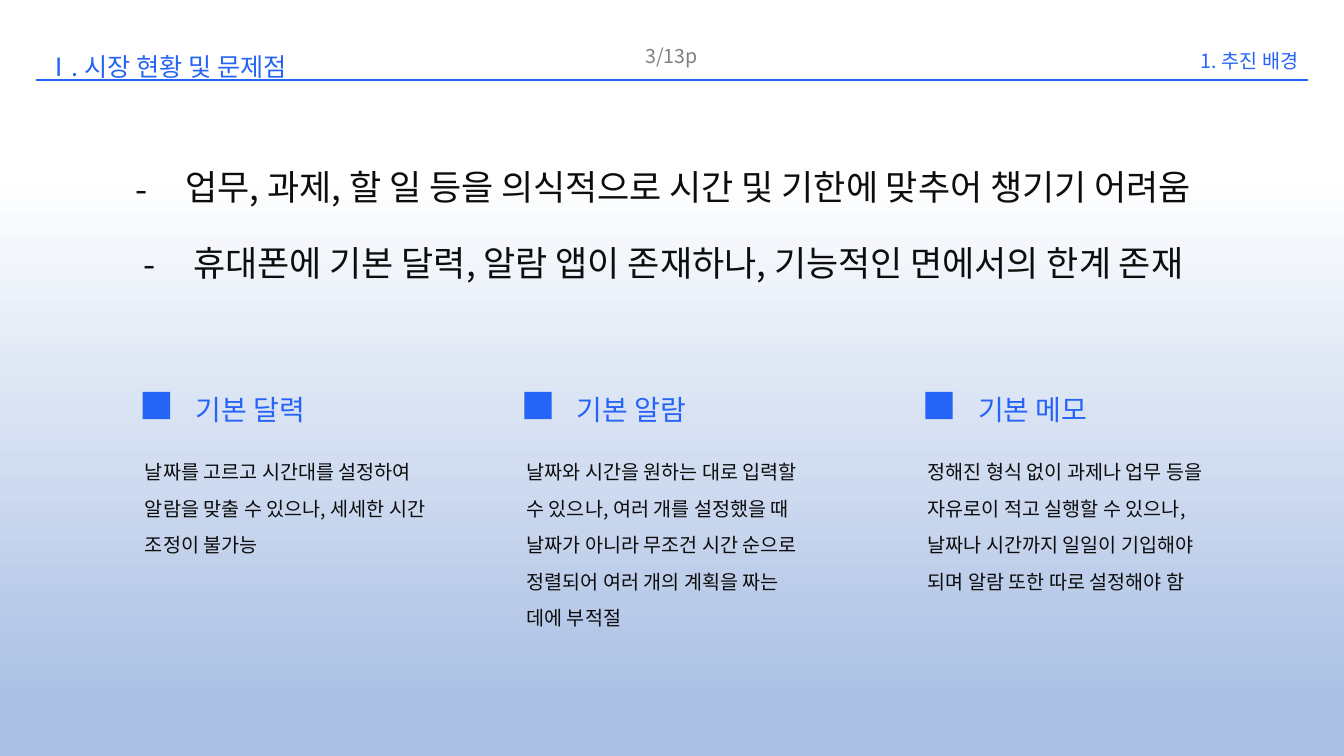
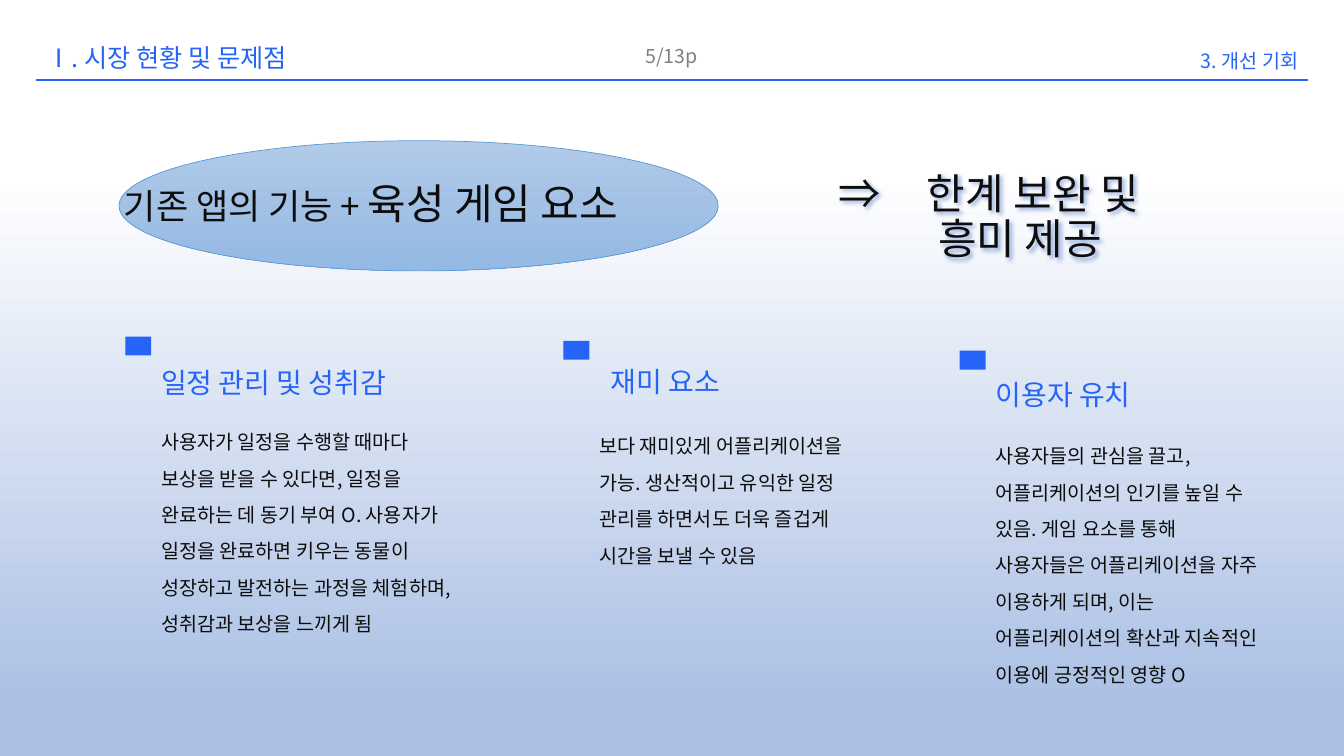
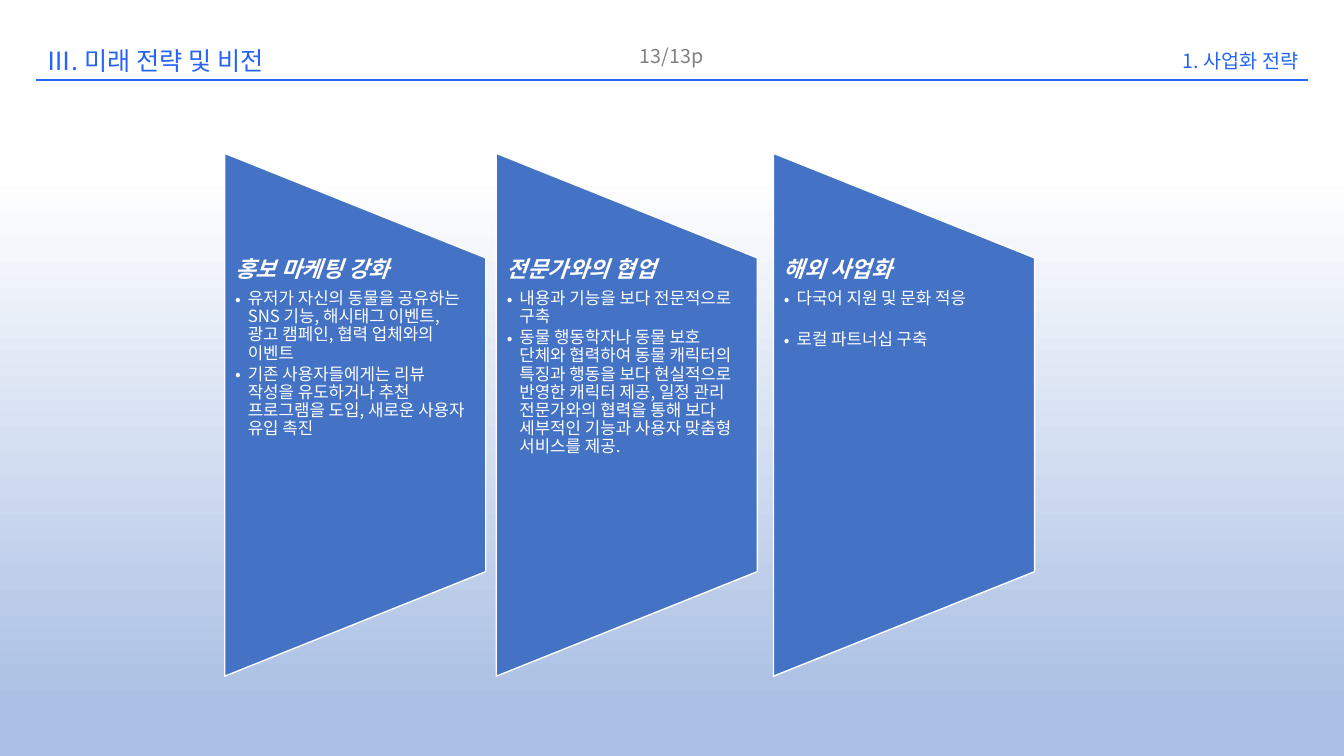
"""Build three slides on the market, the chance and the future plan of an app."""
from dataclasses import dataclass

from lxml.etree import SubElement
from pptx import Presentation
from pptx.dml.color import RGBColor
from pptx.enum.shapes import MSO_CONNECTOR, MSO_SHAPE
from pptx.enum.text import MSO_ANCHOR, MSO_AUTO_SIZE, PP_ALIGN
from pptx.oxml.ns import qn
from pptx.util import Pt

FONT = "Noto Sans CJK KR"
HUES = {
    "blue": "2564F7", "ink": "0D0D0D", "gray": "808080", "white": "FFFFFF",
    "panel": "4472C4", "edge": "5B9BD5", "base": "ABC0E4",
    "oval1": "B1CBE9", "oval2": "A3C1E5", "oval3": "93B9E4",
}


@dataclass(frozen=True)
class Style:
    size: float
    hue: str
    lead: object = 1.0
    side: PP_ALIGN = PP_ALIGN.LEFT
    bold: bool = False


@dataclass(frozen=True)
class Header:
    title: str
    top: float
    topic: str
    page: str


@dataclass(frozen=True)
class Box:
    left: float
    top: float
    width: float
    height: float


@dataclass(frozen=True)
class Card:
    left: float
    top: float
    head_dx: float
    head_dy: float
    width: float
    head: str
    body: str


@dataclass(frozen=True)
class Grid:
    mark_w: float
    mark_h: float
    body_dx: float
    body_dy: float


@dataclass(frozen=True)
class Panel:
    left: float
    head: str
    items: tuple[str, ...]
    gap: float = 2


TITLE = Style(18, "blue")
TOPIC = Style(14, "blue", Pt(26), PP_ALIGN.RIGHT)
PAGE = Style(14, "gray", Pt(26), PP_ALIGN.CENTER)
HEAD = Style(20, "blue", Pt(26))
BODY = Style(14, "ink", Pt(26))
POINT = Style(25, "ink", 0.9, PP_ALIGN.CENTER)
IDEA = Style(25, "ink", 0.9)
GAIN = Style(30, "ink", 0.9)
NAME = Style(16, "white", 0.9, bold=True)
ITEM = Style(12, "white", 0.9)

POINTS = (
    "업무, 과제, 할 일 등을 의식적으로 시간 및 기한에 맞추어 챙기기 어려움",
    "휴대폰에 기본 달력, 알람 앱이 존재하나, 기능적인 면에서의 한계 존재",
)
LIMITS = (
    Card(102, 280, 30.5, -5, 221, "기본 달력",
         "날짜를 고르고 시간대를 설정하여 알람을 맞출 수 있으나, 세세한 시간 조정이 불가능"),
    Card(374.5, 280, 30.5, -5, 221, "기본 알람",
         "날짜와 시간을 원하는 대로 입력할 수 있으나, 여러 개를 설정했을 때 날짜가 아니라 "
         "무조건 시간 순으로 정렬되어 여러 개의 계획을 짜는 데에 부적절"),
    Card(661, 280, 30.5, -5, 221, "기본 메모",
         "정해진 형식 없이 과제나 업무 등을 자유로이 적고 실행할 수 있으나, "
         "날짜나 시간까지 일일이 기입해야 되며 알람 또한 따로 설정해야 함"),
)
GAINS = (
    Card(89.5, 240.5, 18.5, 15, 229, "일정 관리 및 성취감",
         "사용자가 일정을 수행할 때마다 보상을 받을 수 있다면, 일정을 완료하는 데 동기 부여 O. "
         "사용자가 일정을 완료하면 키우는 동물이 성장하고 발전하는 과정을 체험하며, "
         "성취감과 보상을 느끼게 됨"),
    Card(402.5, 243.5, 26.5, 11, 201.5, "재미 요소",
         "보다 재미있게 어플리케이션을 가능. 생산적이고 유익한 일정 관리를 하면서도 "
         "더욱 즐겁게 시간을 보낼 수 있음"),
    Card(685.5, 250.5, 18.5, 13.5, 210, "이용자 유치",
         "사용자들의 관심을 끌고, 어플리케이션의 인기를 높일 수 있음. 게임 요소를 통해 "
         "사용자들은 어플리케이션을 자주 이용하게 되며, 이는 어플리케이션의 확산과 "
         "지속적인 이용에 긍정적인 영향 O"),
)
PANELS = (
    Panel(160, "홍보 마케팅 강화", (
        "유저가 자신의 동물을 공유하는 SNS 기능, 해시태그 이벤트, 광고 캠페인, 협력 업체와의 이벤트",
        "기존 사용자들에게는 리뷰 작성을 유도하거나 추천 프로그램을 도입, 새로운 사용자 유입 촉진")),
    Panel(354, "전문가와의 협업", (
        "내용과 기능을 보다 전문적으로 구축",
        "동물 행동학자나 동물 보호 단체와 협력하여 동물 캐릭터의 특징과 행동을 보다 현실적으로 "
        "반영한 캐릭터 제공, 일정 관리 전문가와의 협력을 통해 보다 세부적인 기능과 "
        "사용자 맞춤형 서비스를 제공.")),
    Panel(552, "해외 사업화", ("다국어 지원 및 문화 적응", "로컬 파트너십 구축"), 16.5),
)


def tint(key: str) -> RGBColor:
    return RGBColor.from_string(HUES[key])


def blend(fill, root, stops) -> None:
    fill.gradient()
    fill.gradient_angle = 270
    ramp = root.find(".//" + qn("a:gsLst"))
    for stop in list(ramp):
        ramp.remove(stop)
    for place, key in stops:
        stop = SubElement(ramp, qn("a:gs"), pos=str(place * 1000))
        SubElement(stop, qn("a:srgbClr"), val=HUES[key])


def dress(run, style: Style) -> None:
    font = run.font
    font.size, font.name = Pt(style.size), FONT
    font.bold = font.italic = style.bold
    font.color.rgb = tint(style.hue)
    SubElement(font._element, qn("a:ea"), typeface=FONT)


def write(par, text: str, style: Style, before: float = 0) -> None:
    par.text = text
    par.alignment, par.line_spacing = style.side, style.lead
    par.space_before, par.space_after = Pt(before), Pt(0)
    for run in par.runs:
        dress(run, style)


def shift(par, left: float, first: float) -> None:
    props = par._p.get_or_add_pPr()
    props.set("marL", str(int(Pt(left))))
    props.set("indent", str(int(Pt(first))))


def bullet(par, mark: str, gap: float) -> None:
    shift(par, gap, -gap)
    props = par._p.get_or_add_pPr()
    SubElement(props, qn("a:buFont"), typeface=FONT)
    SubElement(props, qn("a:buChar"), char=mark)


def place(shape, box: Box, anchor=MSO_ANCHOR.TOP):
    shape.left, shape.top = Pt(box.left), Pt(box.top)
    shape.width, shape.height = Pt(box.width), Pt(box.height)
    frame = shape.text_frame
    frame.word_wrap, frame.auto_size = True, MSO_AUTO_SIZE.NONE
    frame.vertical_anchor = anchor
    return frame


def add_box(slide, box: Box):
    return place(slide.shapes.add_textbox(0, 0, 0, 0), box)


def label(slide, box: Box, text: str, style: Style) -> None:
    write(add_box(slide, box).paragraphs[0], text, style)


def form(slide, kind, box: Box, hue: str):
    shape = slide.shapes.add_shape(
        kind, Pt(box.left), Pt(box.top), Pt(box.width), Pt(box.height))
    shape.shadow.inherit = False
    shape.fill.solid()
    shape.fill.fore_color.rgb = tint(hue)
    shape.line.fill.background()
    return shape


def edge(shape, hue: str, width: float) -> None:
    shape.line.color.rgb = tint(hue)
    shape.line.width = Pt(width)


def start(deck, layout: int, head: Header):
    slide = deck.slides.add_slide(deck.slide_layouts[layout])
    frame = place(slide.shapes.title, Box(26, head.top, 255.5, 26), MSO_ANCHOR.MIDDLE)
    write(frame.paragraphs[0], head.title, TITLE)
    rule = slide.shapes.add_connector(
        MSO_CONNECTOR.STRAIGHT, Pt(26), Pt(57), Pt(934), Pt(57))
    edge(rule, "blue", 1.5)
    SubElement(rule._element.spPr, qn("a:effectLst"))
    label(slide, Box(771, 22.5, 163.5, 37.5), head.topic, TOPIC)
    label(slide, Box(398, 18.5, 163.5, 37.5), head.page, PAGE)
    return slide


def add_cards(slide, cards: tuple[Card, ...], grid: Grid) -> None:
    for card in cards:
        form(slide, MSO_SHAPE.RECTANGLE,
             Box(card.left, card.top, grid.mark_w, grid.mark_h), "blue")
        label(slide, Box(card.left + card.head_dx, card.top + card.head_dy, 190, 36),
              card.head, HEAD)
        label(slide, Box(card.left + grid.body_dx, card.top + grid.body_dy,
                         card.width, 182), card.body, BODY)


def market(deck) -> None:
    slide = start(deck, 1, Header("Ⅰ. 시장 현황 및 문제점", 34.5, "1. 추진 배경", "3/13p"))
    frame = place(slide.placeholders[1], Box(31, 118, 885.5, 139.5))
    for rank, text in enumerate(POINTS):
        par = frame.add_paragraph() if rank else frame.paragraphs[0]
        bullet(par, "-", 36)
        write(par, text, POINT, 27 * rank)
    add_cards(slide, LIMITS, Grid(19.5, 19.5, -5.5, 36))


def chance(deck) -> None:
    slide = start(deck, 5, Header("Ⅰ. 시장 현황 및 문제점", 28, "3. 개선 기회", "5/13p"))
    oval = form(slide, MSO_SHAPE.OVAL, Box(85, 100.5, 428, 93), "oval1")
    blend(oval.fill, oval._element, ((0, "oval1"), (50, "oval2"), (100, "oval3")))
    edge(oval, "edge", 0.5)
    add_cards(slide, GAINS, Grid(18.5, 13.5, 18.5, 54))

    par = add_box(slide, Box(47.5, 127.5, 557, 72)).paragraphs[0]
    shift(par, 34, 0)
    write(par, "기존 앱의 기능 + ", IDEA)
    run = par.add_run()
    run.text = "육성 게임 요소"
    dress(run, GAIN)

    frame = add_box(slide, Box(592, 120, 307.5, 85))
    first, last = frame.paragraphs[0], frame.add_paragraph()
    tabs = SubElement(first._p.get_or_add_pPr(), qn("a:tabLst"))
    SubElement(tabs, qn("a:tab"), pos=str(int(Pt(63))), algn="l")
    write(first, "⇒\t한계 보완 및", GAIN)
    shift(last, 71, 0)
    write(last, "흥미 제공", GAIN)
    glow = SubElement(frame._parent._element.spPr, qn("a:effectLst"))
    cast = SubElement(glow, qn("a:outerShdw"), blurRad=str(int(Pt(3))),
                      dist=str(int(Pt(2))), dir="2700000", algn="tl")
    shade = SubElement(cast, qn("a:srgbClr"), val=HUES["panel"])
    SubElement(shade, qn("a:alpha"), val="60000")


def future(deck) -> None:
    slide = start(deck, 5, Header("Ⅲ. 미래 전략 및 비전", 30, "1. 사업화 전략", "13/13p"))
    for panel in PANELS:
        shape = form(slide, MSO_SHAPE.FLOWCHART_MANUAL_OPERATION,
                     Box(panel.left - 93, 203, 373.5, 186.5), "panel")
        shape.rotation = 270
        edge(shape, "white", 1)
        frame = add_box(slide, Box(panel.left, 184.5, 186.5, 224))
        frame.margin_left = frame.margin_right = Pt(8)
        frame.margin_top = frame.margin_bottom = Pt(0)
        write(frame.paragraphs[0], panel.head, NAME)
        for rank, text in enumerate(panel.items):
            par = frame.add_paragraph()
            bullet(par, "•", 9)
            write(par, text, ITEM, panel.gap if rank else 5.5)


def main() -> None:
    deck = Presentation()
    deck.slide_width, deck.slide_height = Pt(960), Pt(540)
    master = deck.slide_master
    blend(master.background.fill, master.element,
          ((23, "white"), (93, "base"), (100, "base")))
    for build in (market, chance, future):
        build(deck)
    deck.save("out.pptx")


if __name__ == "__main__":
    main()
